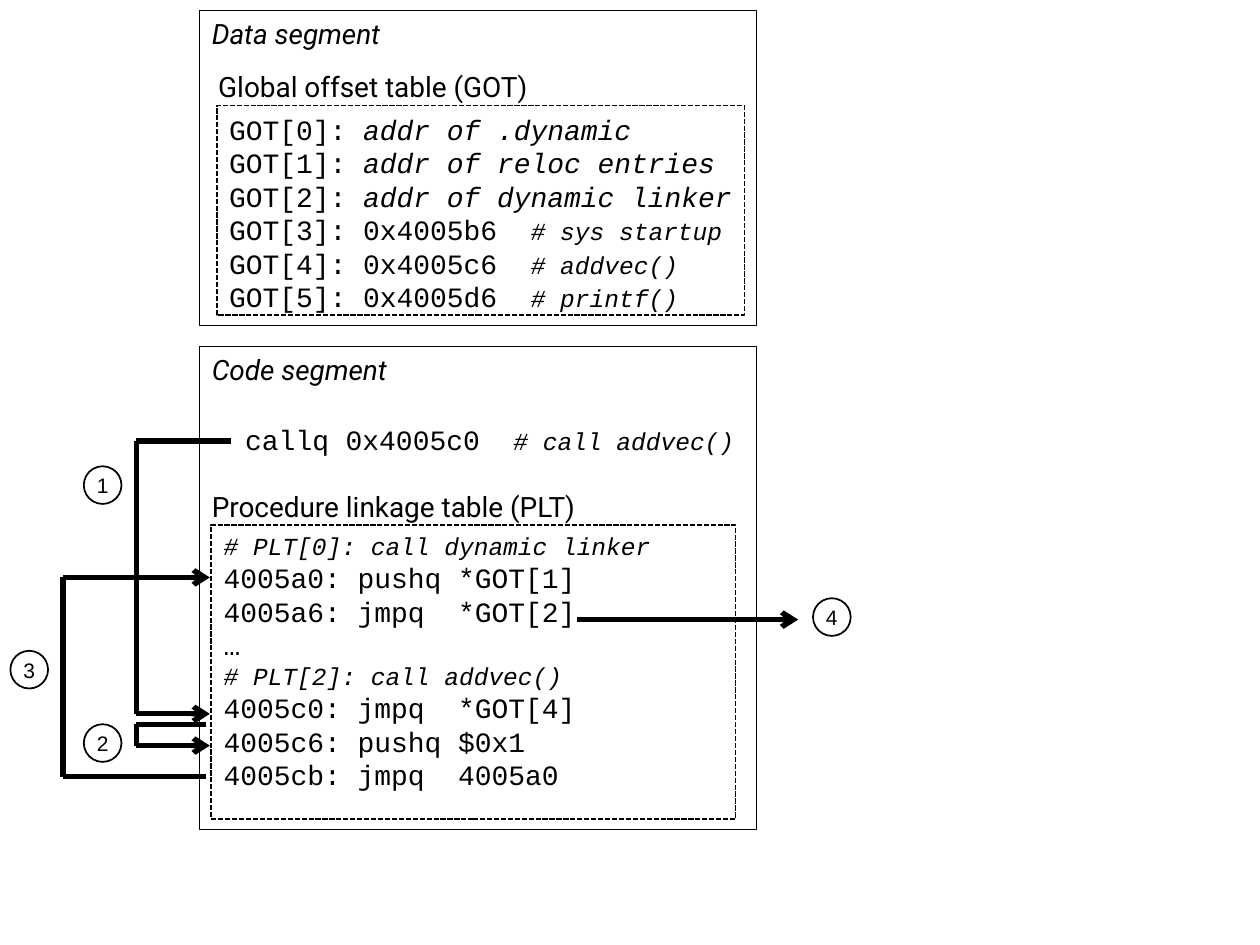
from dataclasses import dataclass
from itertools import pairwise

import lxml.etree
import pptx
import pptx.dml.color
import pptx.enum.dml
import pptx.enum.shapes
import pptx.enum.text
import pptx.oxml.ns
import pptx.util

Cm = pptx.util.Cm
Pt = pptx.util.Pt
SHAPES = pptx.enum.shapes.MSO_SHAPE
ALIGN = pptx.enum.text.PP_ALIGN
ANCHOR = pptx.enum.text.MSO_ANCHOR
BLACK = "000000"
WHITE = "FFFFFF"
CODE_FONT = "Courier New"
SEGMENT_LEFT = 4.02
SEGMENT_WIDTH = 11.22
BADGE_SIZE = 0.76


@dataclass(frozen=True)
class Span:
    text: str
    size: float = 16
    italic: bool = False


@dataclass(frozen=True)
class Panel:
    left: float
    top: float
    width: float
    height: float
    lines: tuple[tuple[Span, ...], ...] = ()
    dashed: bool = False
    margin_top: float = 0.13


@dataclass(frozen=True)
class Heading:
    text: str
    left: float
    top: float
    width: float
    italic: bool = False


@dataclass(frozen=True)
class Badge:
    text: str
    left: float
    top: float


def comment(text: str) -> Span:
    return Span(text, size=14, italic=True)


def color(value: str) -> pptx.dml.color.RGBColor:
    return pptx.dml.color.RGBColor.from_string(value)


def add_span(para, text: str, *, font: str, size: float = 16, italic: bool = False) -> None:
    span = para.add_run()
    span.text = text
    span.font.name = font
    span.font.size = Pt(size)
    span.font.italic = italic
    span.font.color.rgb = color(BLACK)


def style_outline(shape, width: float) -> None:
    shape.shadow.inherit = False
    shape.line.color.rgb = color(BLACK)
    shape.line.width = Pt(width)


def draw_panel(page, panel: Panel) -> None:
    box = page.shapes.add_shape(
        SHAPES.RECTANGLE, Cm(panel.left), Cm(panel.top), Cm(panel.width), Cm(panel.height)
    )
    if panel.dashed:
        style_outline(box, 1)
        box.fill.background()
        box.line.dash_style = pptx.enum.dml.MSO_LINE.SQUARE_DOT
    else:
        style_outline(box, 0.25)
        box.fill.solid()
        box.fill.fore_color.rgb = color(WHITE)
    frame = box.text_frame
    frame.word_wrap = False
    frame.vertical_anchor = ANCHOR.TOP
    frame.margin_top = Cm(panel.margin_top)
    for index, line in enumerate(panel.lines):
        para = frame.add_paragraph() if index else frame.paragraphs[0]
        para.alignment = ALIGN.LEFT
        for span in line:
            add_span(para, span.text, font=CODE_FONT, size=span.size, italic=span.italic)


def draw_heading(page, heading: Heading) -> None:
    box = page.shapes.add_textbox(
        Cm(heading.left), Cm(heading.top), Cm(heading.width), Cm(0.94)
    )
    box.text_frame.word_wrap = False
    add_span(box.text_frame.paragraphs[0], heading.text, font="Roboto", italic=heading.italic)


def draw_badge(page, badge: Badge) -> None:
    circle = page.shapes.add_shape(
        SHAPES.OVAL, Cm(badge.left), Cm(badge.top), Cm(BADGE_SIZE), Cm(BADGE_SIZE)
    )
    style_outline(circle, 1)
    circle.fill.background()
    frame = circle.text_frame
    frame.word_wrap = False
    frame.vertical_anchor = ANCHOR.MIDDLE
    frame.paragraphs[0].alignment = ALIGN.CENTER
    add_span(frame.paragraphs[0], badge.text, font="Arial", size=12)


def draw_route(page, points: tuple[tuple[float, float], ...]) -> None:
    qualified = pptx.oxml.ns.qn
    for start, end in pairwise(points):
        segment = page.shapes.add_connector(
            pptx.enum.shapes.MSO_CONNECTOR.STRAIGHT, *(Cm(value) for value in start + end)
        )
        segment.line.color.rgb = color(BLACK)
        segment.line.width = Pt(3)
        properties = segment.line._get_or_add_ln().getparent()
        lxml.etree.SubElement(properties, qualified("a:effectLst"))
    lxml.etree.SubElement(
        segment.line._get_or_add_ln(), qualified("a:tailEnd"), type="arrow"
    )


PANELS = (
    Panel(
        SEGMENT_LEFT, 6.98, SEGMENT_WIDTH, 9.74,
        ((Span("  callq 0x4005c0  "), comment("# call addvec()")),),
        margin_top=1.54,
    ),
    Panel(SEGMENT_LEFT, 0.21, SEGMENT_WIDTH, 6.35),
    Panel(
        4.37, 2.13, 10.64, 4.22,
        (
            (Span("GOT[0]: "), Span("addr of .dynamic", italic=True)),
            (Span("GOT[1]: "), Span("addr of reloc entries", italic=True)),
            (Span("GOT[2]: "), Span("addr of dynamic linker", italic=True)),
            (Span("GOT[3]: 0x4005b6  "), comment("# sys startup")),
            (Span("GOT[4]: 0x4005c6  "), comment("# addvec()")),
            (Span("GOT[5]: 0x4005d6  "), comment("# printf()")),
        ),
        dashed=True,
    ),
    Panel(
        4.26, 10.58, 10.57, 5.93,
        (
            (comment("# PLT[0]: call dynamic linker"),),
            (Span("4005a0: pushq *GOT[1]"),),
            (Span("4005a6: jmpq  *GOT[2]"),),
            (Span("…"),),
            (comment("# PLT[2]: call addvec()"),),
            (Span("4005c0: jmpq  *GOT[4]"),),
            (Span("4005c6: pushq $0x1"),),
            (Span("4005cb: jmpq  4005a0"),),
        ),
        dashed=True,
    ),
)
HEADINGS = (
    Heading("Data segment", SEGMENT_LEFT, 0.21, 4.19, italic=True),
    Heading("Global offset table (GOT)", 4.15, 1.27, 6.86),
    Heading("Code segment", SEGMENT_LEFT, 6.98, 4.34, italic=True),
    Heading("Procedure linkage table (PLT)", SEGMENT_LEFT, 9.74, 8.05),
)
ROUTES = (
    ((4.66, 8.89), (2.75, 8.89), (2.75, 14.39), (4.23, 14.39)),
    ((4.16, 14.6), (2.75, 14.6), (2.75, 15.03), (4.23, 15.03)),
    ((4.16, 15.66), (1.27, 15.66), (1.27, 11.64), (4.23, 11.64)),
    ((11.64, 12.49), (16.09, 12.49)),
)
BADGES = (
    Badge("1", 1.69, 9.4),
    Badge("2", 1.69, 14.6),
    Badge("3", 0.21, 13.12),
    Badge("4", 16.39, 12.06),
)


def main() -> None:
    deck = pptx.Presentation()
    deck.slide_width = Cm(25.4)
    deck.slide_height = Cm(19.05)
    page = deck.slides.add_slide(deck.slide_layouts[6])
    for draw, items in (
        (draw_panel, PANELS),
        (draw_heading, HEADINGS),
        (draw_route, ROUTES),
        (draw_badge, BADGES),
    ):
        for item in items:
            draw(page, item)
    deck.save("out.pptx")


if __name__ == "__main__":
    main()
